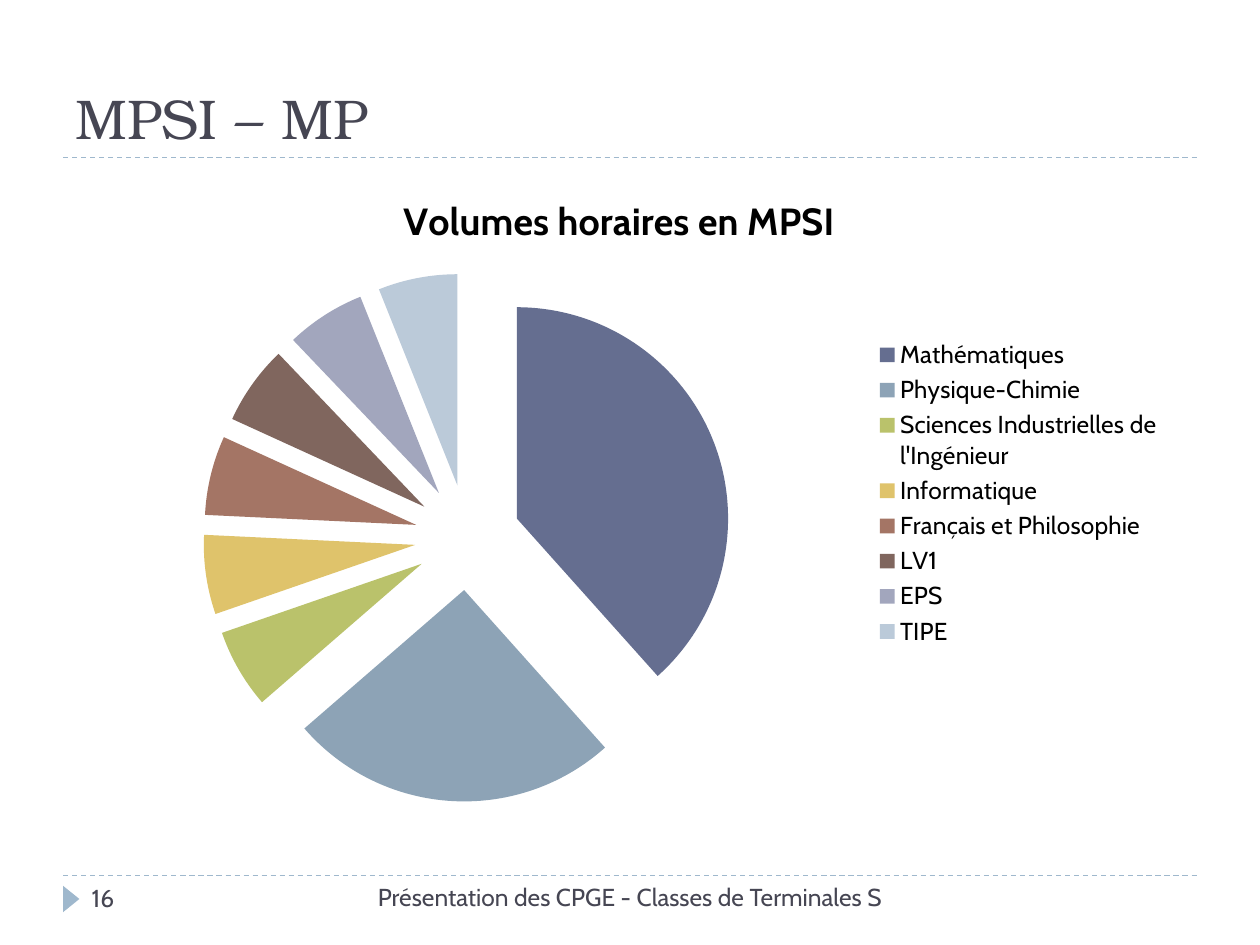
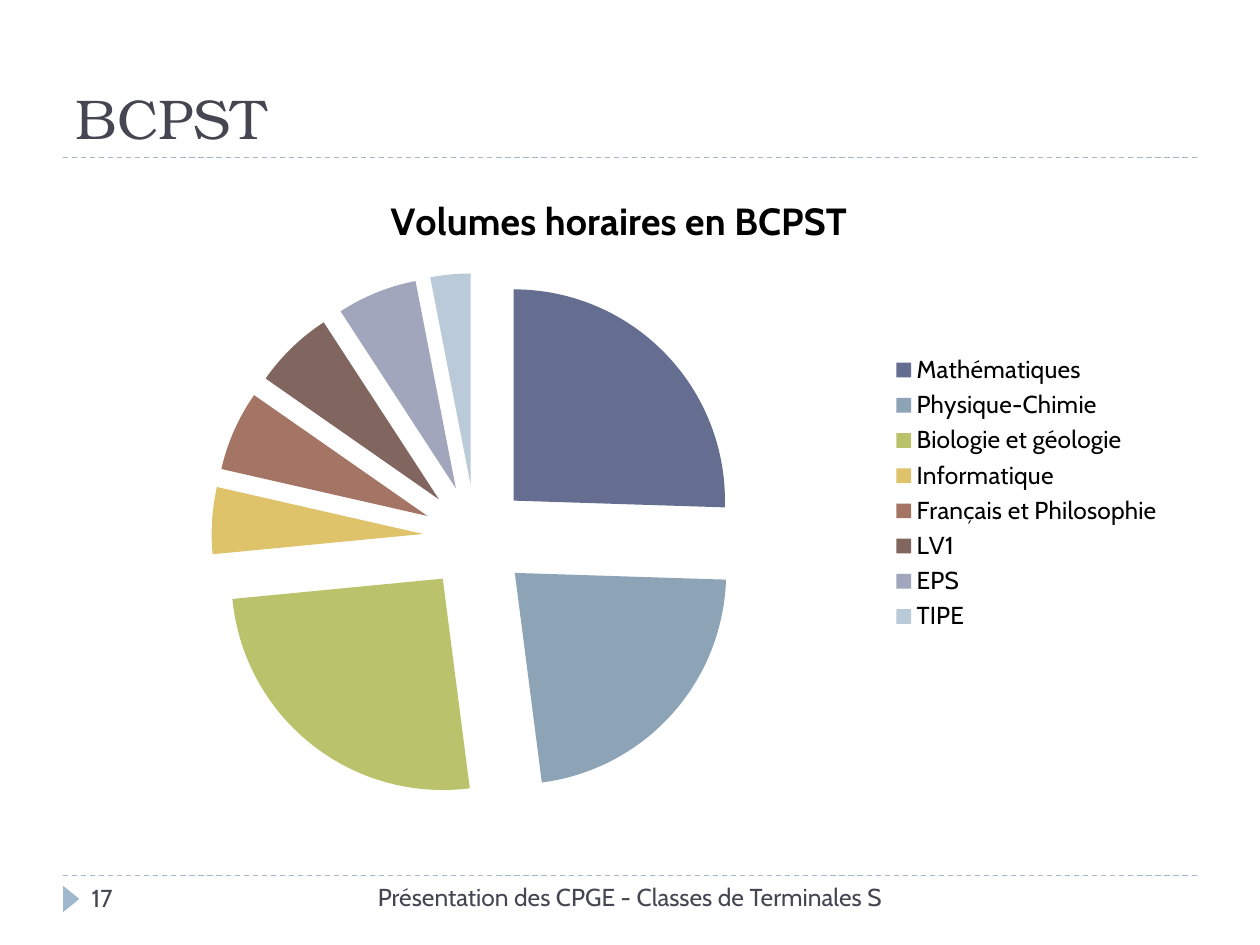
from dataclasses import dataclass

from lxml import etree
from pptx import Presentation
from pptx.chart.data import CategoryChartData
from pptx.dml.color import RGBColor
from pptx.enum.chart import XL_CHART_TYPE, XL_LEGEND_POSITION
from pptx.enum.dml import MSO_LINE
from pptx.enum.shapes import MSO_CONNECTOR, MSO_SHAPE
from pptx.enum.text import MSO_ANCHOR, MSO_AUTO_SIZE, PP_ALIGN
from pptx.oxml.ns import qn
from pptx.util import Inches, Pt

PIE = XL_CHART_TYPE.PIE
LEGEND_RIGHT = XL_LEGEND_POSITION.RIGHT
DASH = MSO_LINE.DASH
STRAIGHT = MSO_CONNECTOR.STRAIGHT
TRIANGLE = MSO_SHAPE.ISOSCELES_TRIANGLE
TOP, BOTTOM = MSO_ANCHOR.TOP, MSO_ANCHOR.BOTTOM
LEFT, CENTER = PP_ALIGN.LEFT, PP_ALIGN.CENTER
NO_AUTOFIT = MSO_AUTO_SIZE.NONE


@dataclass(frozen=True)
class Theme:
    width: float = 10
    height: float = 7.5
    margin: float = 0.5
    title_rule: float = 1.25
    footer_rule: float = 6.95
    heading_font: str = "TeX Gyre Bonum"
    body_font: str = "Cabin"
    text: str = "464653"
    chart_text: str = "000000"
    accent: str = "9FB8CD"
    slices: tuple = ("656E90", "8DA3B6", "BAC26B", "DFC36B",
                     "A47565", "80665E", "A2A6BD", "BBCAD9")
    title_size: float = 32
    chart_title_size: float = 21.6
    small_size: float = 14
    explosion: int = 25


THEME = Theme()
CONTENT_WIDTH = THEME.width - 2 * THEME.margin
FOOTER = "Présentation des CPGE - Classes de Terminales S"
FIRST_NUMBER = 16
SHARED_SUBJECTS = ["Informatique", "Français et Philosophie", "LV1", "EPS", "TIPE"]
COURSES = [
    ("MPSI – MP", "MPSI", "Sciences Industrielles de l'Ingénieur",
     (38, 25, 6, 6, 6, 6, 6, 6)),
    ("BCPST", "BCPST", "Biologie et géologie",
     (25, 22, 25, 5, 6, 6, 6, 3)),
]


def rgb(code):
    return RGBColor.from_string(code)


def style_font(font, size, color=THEME.text, name=THEME.body_font, bold=False):
    font.name = name
    font.size = Pt(size)
    font.bold = bold
    font.color.rgb = rgb(color)


def write(frame, text, align=LEFT, anchor=TOP, **font_format):
    frame.word_wrap = True
    frame.auto_size = NO_AUTOFIT
    frame.vertical_anchor = anchor
    paragraph = frame.paragraphs[0]
    paragraph.alignment = align
    run = paragraph.add_run()
    run.text = text
    style_font(run.font, **font_format)


def add_title(slide, text):
    title = slide.shapes.title
    title.left, title.width = Inches(THEME.margin), Inches(CONTENT_WIDTH)
    title.top, title.height = Inches(THEME.title_rule - 1.08), Inches(1.08)
    write(title.text_frame, text, anchor=BOTTOM,
          size=THEME.title_size, name=THEME.heading_font)


def add_rule(slide, y):
    rule = slide.shapes.add_connector(
        STRAIGHT, Inches(THEME.margin), Inches(y),
        Inches(THEME.width - THEME.margin), Inches(y))
    rule.line.color.rgb = rgb(THEME.accent)
    rule.line.width = Pt(0.75)
    rule.line.dash_style = DASH
    etree.SubElement(rule.line._get_or_add_ln().getparent(), qn("a:effectLst"))


def add_footer_text(slide, text, left, top, width, align=LEFT):
    box = slide.shapes.add_textbox(
        Inches(left), Inches(top), Inches(width), Inches(0.4))
    write(box.text_frame, text, align=align, size=THEME.small_size)


def add_frame(slide, number):
    """Draw the rules, page marker and footer that every slide carries."""
    for y in (THEME.footer_rule, THEME.title_rule):
        add_rule(slide, y)
    marker = slide.shapes.add_shape(
        TRIANGLE, Inches(0.46), Inches(7.07), Inches(0.21), Inches(0.13))
    marker.rotation = 90
    marker.shadow.inherit = False
    marker.fill.solid()
    marker.fill.fore_color.rgb = rgb(THEME.accent)
    marker.line.fill.background()
    footer_width = 4.72
    add_footer_text(slide, FOOTER, (THEME.width - footer_width) / 2,
                    THEME.footer_rule, footer_width, CENTER)
    add_footer_text(slide, str(number), 0.63, THEME.footer_rule + 0.01, 2.17)


def add_hours_pie(slide, heading, subjects, hours):
    data = CategoryChartData()
    data.categories = subjects
    data.add_series("Series 1", hours)
    chart = slide.shapes.add_chart(
        PIE, Inches(THEME.margin), Inches(1.33), Inches(8.83), Inches(5.17),
        data).chart
    style_font(chart.font, 18, THEME.chart_text)

    chart.has_title = True
    run = chart.chart_title.text_frame.paragraphs[0].add_run()
    run.text = heading
    style_font(run.font, THEME.chart_title_size, THEME.chart_text, bold=True)
    chart.chart_title.include_in_layout = False

    chart.has_legend = True
    chart.legend.position = LEGEND_RIGHT
    chart.legend.include_in_layout = False
    style_font(chart.legend.font, THEME.small_size, THEME.chart_text)

    plot = chart.plots[0]
    plot.vary_by_categories = True
    series = plot.series[0]
    for index, color in enumerate(THEME.slices):
        fill = series.points[index].format.fill
        fill.solid()
        fill.fore_color.rgb = rgb(color)
    explosion = etree.Element(qn("c:explosion"), val=str(THEME.explosion))
    series._element.find(qn("c:dPt")).addprevious(explosion)


def main():
    deck = Presentation()
    deck.slide_width, deck.slide_height = Inches(THEME.width), Inches(THEME.height)
    title_only = deck.slide_layouts[5]
    for number, (title, course, speciality, hours) in enumerate(COURSES, FIRST_NUMBER):
        slide = deck.slides.add_slide(title_only)
        add_frame(slide, number)
        add_title(slide, title)
        subjects = ["Mathématiques", "Physique-Chimie", speciality, *SHARED_SUBJECTS]
        add_hours_pie(slide, f"Volumes horaires en {course}", subjects, hours)
    deck.save("out.pptx")


if __name__ == "__main__":
    main()
